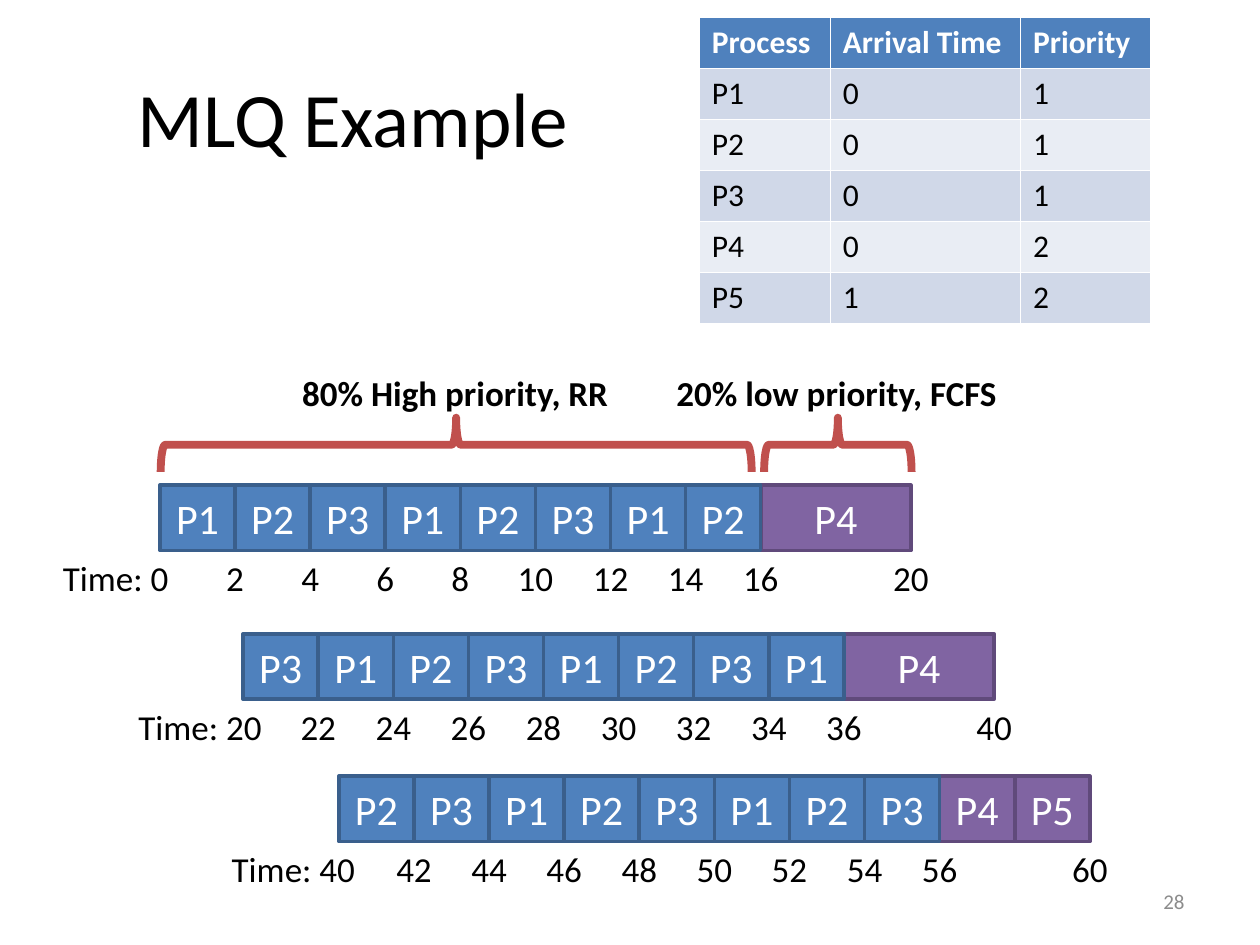
from dataclasses import dataclass

from pptx import Presentation
from pptx.dml.color import RGBColor
from pptx.enum.shapes import MSO_SHAPE
from pptx.enum.text import MSO_ANCHOR, MSO_AUTO_SIZE, PP_ALIGN
from pptx.util import Inches, Pt

RECT, BRACE = MSO_SHAPE.RECTANGLE, MSO_SHAPE.RIGHT_BRACE
LEFT, MID, RIGHT = PP_ALIGN.LEFT, PP_ALIGN.CENTER, PP_ALIGN.RIGHT
CENTER = MSO_ANCHOR.MIDDLE
GROW = MSO_AUTO_SIZE.SHAPE_TO_FIT_TEXT

HEX = {
    "black": "000000", "white": "FFFFFF", "gray": "8C8C8C", "red": "C0504D",
    "blue": "4F81BD", "navy": "3A5F8C", "plum": "8064A2", "dark": "604A7B",
    "band": "D0D8E8", "pale": "E9EDF4",
}
FONTS = {
    "title": {"size": Pt(44), "bold": False},
    "head": {"size": Pt(18), "bold": True},
    "cell": {"size": Pt(18), "bold": False},
    "job": {"size": Pt(24), "bold": False},
    "time": {"size": Pt(20), "bold": False},
    "note": {"size": Pt(20), "bold": True},
    "page": {"size": Pt(12), "bold": False},
}
STEP = 0.6 - 0.004  # width of one two-unit time slice
SLICE = 2
BAR = 0.52


@dataclass
class Row:
    left: float
    top: float
    start: int
    high: str
    low: list[tuple[str, int]]  # job and its number of slices
    lead: tuple[float, float]  # left and width of the "Time:" label


@dataclass
class Note:
    text: str
    left: float
    width: float
    mid: float  # centre of the brace below
    span: float


ROWS = [
    Row(1.27, 3.85, 0, "P1 P2 P3 P1 P2 P3 P1 P2", [("P4", 2)], (0.4, 1.05)),
    Row(1.93, 5.03, 20, "P3 P1 P2 P3 P1 P2 P3 P1", [("P4", 2)], (1, 1.19)),
    Row(2.69, 6.16, 40, "P2 P3 P1 P2 P3 P1 P2 P3",
        [("P4", 1), ("P5", 1)], (1.74, 1.19)),
]
NOTES = [
    Note("80% High priority, RR", 2.3, 2.65, 3.62, 4.69),
    Note("20% low priority, FCFS", 5.27, 2.76, 6.65, 1.17),
]
DATA = [
    ("Process", "Arrival Time", "Priority"),
    ("P1", "0", "1"), ("P2", "0", "1"), ("P3", "0", "1"),
    ("P4", "0", "2"), ("P5", "1", "2"),
]


def color(name: str) -> RGBColor:
    return RGBColor.from_string(HEX[name])


def write(frame, text: str, style: str, ink: str, align=LEFT) -> None:
    frame.text = text
    para = frame.paragraphs[0]
    para.alignment = align
    font = para.runs[0].font
    for key, value in {"name": "Calibri", **FONTS[style]}.items():
        setattr(font, key, value)
    font.color.rgb = color(ink)


def label(area, text: str, left: float, top: float, width: float,
          style: str, align=LEFT) -> None:
    box = area.add_textbox(*map(Inches, (left, top, width, 0.44)))
    box.text_frame.word_wrap = False
    box.text_frame.auto_size = GROW
    write(box.text_frame, text, style, "black", align)


def block(area, text: str, left: float, top: float, width: float,
          fill: str, edge: str) -> None:
    shape = area.add_shape(RECT, *map(Inches, (left, top, width, BAR)))
    shape.shadow.inherit = False
    shape.fill.solid()
    shape.fill.fore_color.rgb = color(fill)
    shape.line.color.rgb = color(edge)
    shape.line.width = Pt(2)
    shape.text_frame.vertical_anchor = CENTER
    write(shape.text_frame, text, "job", "white", MID)


def chart(area, row: Row) -> None:
    high = row.high.split()
    # Low-priority jobs go first, so that the blue edge lies on top
    left = row.left + len(high) * STEP
    for name, count in row.low:
        block(area, name, left, row.top, count * STEP, "plum", "dark")
        left += count * STEP
    for i, name in enumerate(high):
        block(area, name, row.left + i * STEP, row.top, STEP, "blue", "navy")

    # Time marks: each slice of the high queue, then the end
    below = row.top + BAR
    label(area, f"Time: {row.start}", row.lead[0], below, row.lead[1], "time")
    end = len(high) + sum(count for _, count in row.low)
    for i in [*range(1, len(high) + 1), end]:
        time = str(row.start + i * SLICE)
        width = 0.2 + 0.145 * len(time)
        label(area, time, row.left + i * STEP - width / 2, below, width,
              "time", MID)


def brace(area, note: Note) -> None:
    wide, mid = 0.43, 3.53
    shape = area.add_shape(BRACE, *map(Inches, (
        note.mid - wide / 2, mid - note.span / 2, wide, note.span)))
    shape.rotation = 270
    shape.shadow.inherit = False
    shape.fill.background()
    shape.line.color.rgb = color("red")
    shape.line.width = Pt(4.5)
    label(area, note.text, note.left, 2.9, note.width, "note")


def grid(area) -> None:
    widths = (1.04, 1.51, 1.03)
    table = area.add_table(len(DATA), len(widths), *map(
        Inches, (5.55, 0.14, sum(widths), 2.43))).table
    for col, width in zip(table.columns, widths):
        col.width = Inches(width)
    for r, line in enumerate(DATA):
        fill = "blue" if r == 0 else ("band" if r % 2 else "pale")
        style, ink = ("cell", "black") if r else ("head", "white")
        for c, text in enumerate(line):
            cell = table.cell(r, c)
            cell.fill.solid()
            cell.fill.fore_color.rgb = color(fill)
            write(cell.text_frame, text, style, ink)


def main() -> None:
    deck = Presentation()
    deck.slide_width, deck.slide_height = Inches(10), Inches(7.5)
    slide = deck.slides.add_slide(deck.slide_layouts.get_by_name("Title Only"))
    shapes = slide.shapes

    # Title
    title = shapes.title
    place = {"left": 0.5, "top": 0.3, "width": 4.6, "height": 1.25}
    for key, value in place.items():
        setattr(title, key, Inches(value))
    title.text_frame.vertical_anchor = CENTER
    write(title.text_frame, "MLQ Example", "title", "black", MID)

    # Page number
    page = shapes.add_textbox(*map(Inches, (7.17, 6.95, 2.33, 0.4))).text_frame
    page.word_wrap = True
    page.vertical_anchor = CENTER
    write(page, "28", "page", "gray", RIGHT)

    # Process table, schedule rows and queue shares
    grid(shapes)
    for row in ROWS:
        chart(shapes.add_group_shape().shapes if row.start else shapes, row)
    for note in NOTES:
        brace(shapes, note)

    deck.save("out.pptx")


if __name__ == "__main__":
    main()
